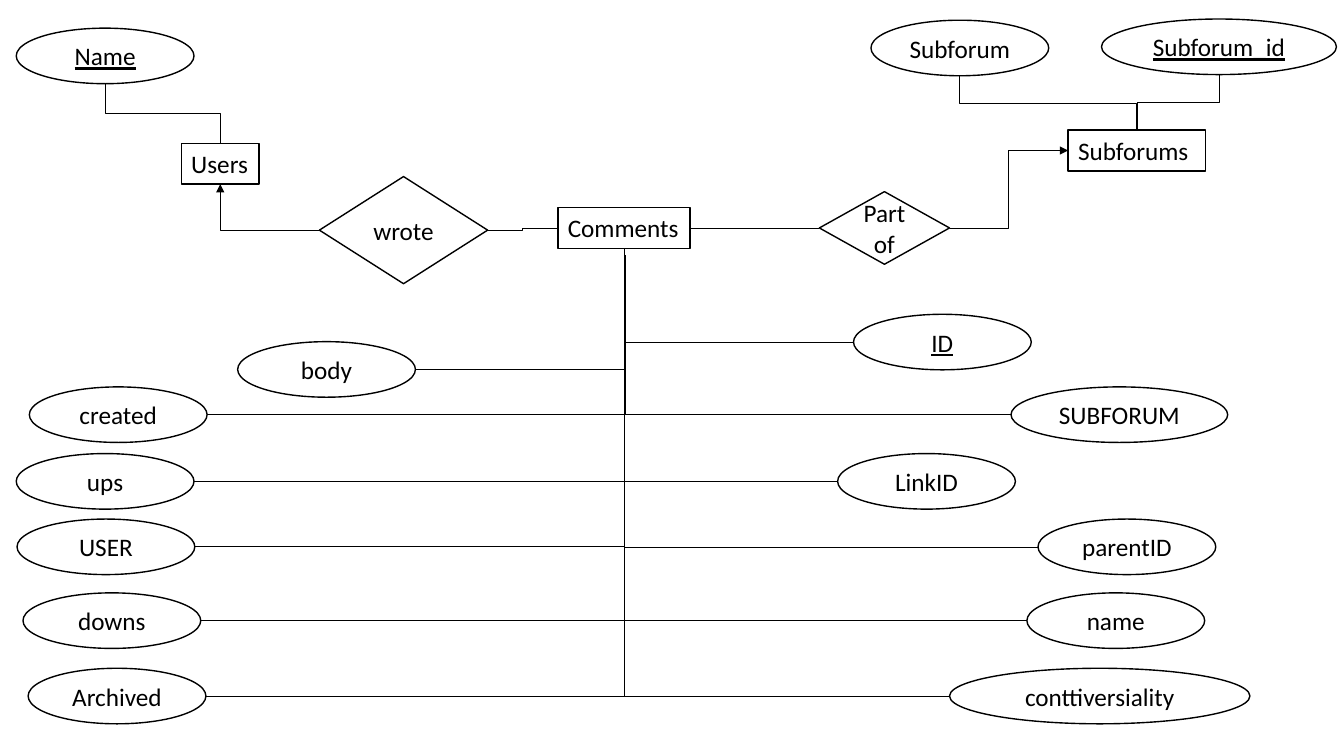
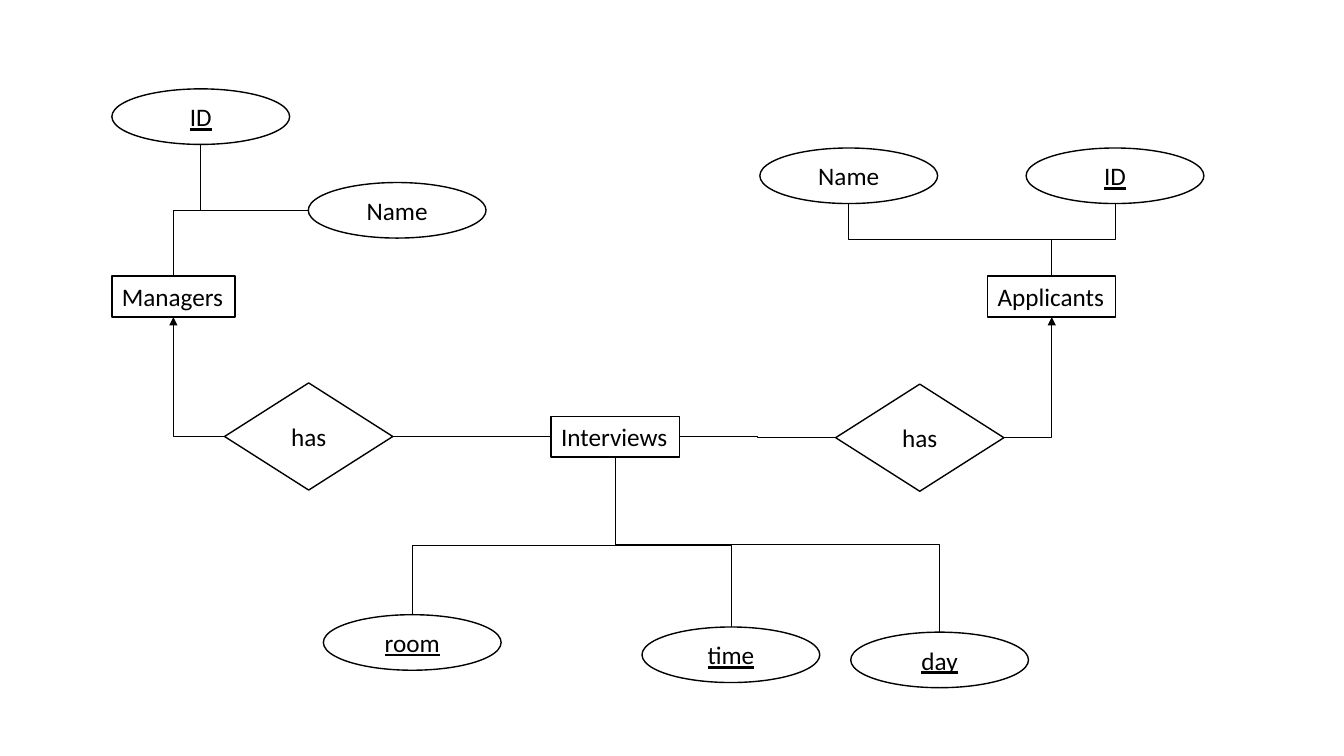
from dataclasses import dataclass
from enum import Enum
from typing import Optional

from lxml import etree
from pptx import Presentation
from pptx import util as u
from pptx.dml import color
from pptx.enum import shapes, text
from pptx.oxml import ns

FONT = "Calibri"
INK = "000000"
PAPER = "FFFFFF"
OVAL_WIDTH = 4.48
OVAL_HEIGHT = 1.4
BOX_HEIGHT = 1.03

Point = tuple[float, float]


class Side(Enum):
    TOP = 0
    LEFT = 1
    BOTTOM = 2
    RIGHT = 3

    @property
    def horizontal(self) -> bool:
        return self in (Side.LEFT, Side.RIGHT)


class Kind(Enum):
    ENTITY = shapes.MSO_SHAPE.RECTANGLE
    ATTRIBUTE = shapes.MSO_SHAPE.OVAL
    RELATION = shapes.MSO_SHAPE.DIAMOND


@dataclass(frozen=True)
class Node:
    kind: Kind
    label: str
    left: float
    top: float
    width: float
    height: float
    underline: bool = False
    wrap: bool = True

    def anchor(self, side: Side) -> Point:
        middle = (self.left + self.width / 2, self.top + self.height / 2)
        return {
            Side.TOP: (middle[0], self.top),
            Side.LEFT: (self.left, middle[1]),
            Side.BOTTOM: (middle[0], self.top + self.height),
            Side.RIGHT: (self.left + self.width, middle[1]),
        }[side]

    def site(self, side: Side) -> int:
        return side.value * (2 if self.kind is Kind.ATTRIBUTE else 1)


@dataclass(frozen=True)
class Link:
    start: str
    start_side: Side
    end: str
    end_side: Side
    arrow: bool = False
    bend: float = 0.5
    tip: Optional[Point] = None


def entity(label: str, left: float, top: float, width: float, wrap: bool = False) -> Node:
    return Node(Kind.ENTITY, label, left, top, width, BOX_HEIGHT, wrap=wrap)


def attribute(label: str, left: float, top: float, width: float = OVAL_WIDTH,
              underline: bool = False) -> Node:
    return Node(Kind.ATTRIBUTE, label, left, top, width, OVAL_HEIGHT, underline)


def relation(label: str, left: float, top: float, width: float = 4.24,
             height: float = 2.7) -> Node:
    return Node(Kind.RELATION, label, left, top, width, height)


def rgb(value: str) -> color.RGBColor:
    return color.RGBColor.from_string(value)


def write(frame, content: str, *, size: float = 18, ink: str = INK, underline: bool = False,
          align=text.PP_ALIGN.CENTER, anchor=text.MSO_ANCHOR.MIDDLE,
          wrap: bool = True, grow: bool = False) -> None:
    frame.word_wrap = wrap
    frame.vertical_anchor = anchor
    if grow:
        frame.auto_size = text.MSO_AUTO_SIZE.SHAPE_TO_FIT_TEXT
    para = frame.paragraphs[0]
    para.alignment = align
    span = para.add_run()
    span.text = content
    span.font.name = FONT
    span.font.size = u.Pt(size)
    span.font.color.rgb = rgb(ink)
    if underline:
        span.font.underline = True


def draw_node(page, node: Node):
    box = page.shapes.add_shape(node.kind.value, u.Cm(node.left), u.Cm(node.top),
                                u.Cm(node.width), u.Cm(node.height))
    box.shadow.inherit = False
    box.fill.solid()
    box.fill.fore_color.rgb = rgb(PAPER)
    box.line.color.rgb = rgb(INK)
    box.line.width = u.Pt(1)
    if node.kind is Kind.ENTITY:
        write(box.text_frame, node.label, align=text.PP_ALIGN.LEFT,
              anchor=text.MSO_ANCHOR.TOP, wrap=node.wrap, grow=True)
    else:
        write(box.text_frame, node.label, underline=node.underline)
    return box


def place_elbow(connector, start: Point, end: Point, horizontal: bool) -> None:
    across, down = end[0] - start[0], end[1] - start[1]
    right, below = across > 0, down > 0
    if horizontal:
        width, height = abs(across), abs(down)
        turn = 0 if right else 180
        flip_h, flip_v = False, (down < 0 if right else below)
    else:
        width, height = abs(down), abs(across)
        turn = 270 if right == below else 90
        flip_h, flip_v = right, not below
    connector.left = u.Cm((start[0] + end[0] - width) / 2)
    connector.top = u.Cm((start[1] + end[1] - height) / 2)
    connector.width = u.Cm(width)
    connector.height = u.Cm(height)
    frame = connector.element.find(".//" + ns.qn("a:xfrm"))
    frame.set("rot", str(turn * 60000))
    frame.set("flipH", str(int(flip_h)))
    frame.set("flipV", str(int(flip_v)))


def glue(connector, tag: str, box, site: int) -> None:
    holder = connector.element.find(".//" + ns.qn("p:cNvCxnSpPr"))
    etree.SubElement(holder, ns.qn(tag), id=str(box.shape_id), idx=str(site))


def draw_link(page, link: Link, nodes: dict[str, Node], boxes: dict) -> None:
    source, target = nodes[link.start], nodes[link.end]
    start = source.anchor(link.start_side)
    end = link.tip or target.anchor(link.end_side)
    connector = page.shapes.add_connector(shapes.MSO_CONNECTOR.ELBOW, 0, 0, 0, 0)
    place_elbow(connector, start, end, link.start_side.horizontal)
    connector.line.color.rgb = rgb(INK)
    connector.line.width = u.Pt(0.5)

    glue(connector, "a:stCxn", boxes[link.start], source.site(link.start_side))
    if link.tip is None:
        glue(connector, "a:endCxn", boxes[link.end], target.site(link.end_side))

    geometry = connector.element.find(".//" + ns.qn("a:prstGeom"))
    if link.start_side.horizontal != link.end_side.horizontal:
        geometry.set("prst", "bentConnector2")
    else:
        etree.SubElement(geometry.find(ns.qn("a:avLst")), ns.qn("a:gd"),
                         name="adj1", fmla=f"val {round(link.bend * 100000)}")
    properties = connector.element.find(ns.qn("p:spPr"))
    if link.arrow:
        etree.SubElement(properties.find(ns.qn("a:ln")), ns.qn("a:tailEnd"), type="triangle")
    etree.SubElement(properties, ns.qn("a:effectLst"))


def draw_diagram(deck, nodes: dict[str, Node], links: list[Link]) -> None:
    page = deck.slides.add_slide(deck.slide_layouts[6])
    boxes = {name: draw_node(page, node) for name, node in nodes.items()}
    for link in links:
        draw_link(page, link, nodes, boxes)


FORUM_NODES = {
    "users": entity("Users", 4.57, 3.61, 1.96, wrap=True),
    "comments": entity("Comments", 14.06, 5.23, 3.33),
    "subforums": entity("Subforums ", 26.92, 3.28, 3.46),
    "user name": attribute("Name", 0.41, 0.71, underline=True),
    "subforum title": attribute("Subforum", 21.95, 0.51),
    "subforum id": attribute("Subforum_id", 27.76, 0.48, 5.92, underline=True),
    "wrote": relation("wrote", 8.05, 4.45),
    "part of": relation("Part of", 20.65, 4.83, 3.28, 1.83),
}
LEFT_ATTRIBUTES = {
    "body": attribute("body", 5.99, 8.61),
    "created": attribute("created", 0.74, 9.75),
    "ups": attribute("ups", 0.41, 11.43),
    "user": attribute("USER", 0.43, 13.08),
    "downs": attribute("downs", 0.58, 14.94),
    "archived": attribute("Archived", 0.71, 16.84),
}
RIGHT_ATTRIBUTES = {
    "id": attribute("ID", 21.51, 7.92, underline=True),
    "subforum": attribute("SUBFORUM", 25.48, 9.75, 5.46),
    "link id": attribute("LinkID", 21.11, 11.43),
    "parent id": attribute("parentID", 26.16, 13.08),
    "name": attribute("name", 25.88, 14.94),
    "controversiality": attribute("conttiversiality", 23.93, 16.84, 7.57),
}
TIPS = {"created": (15.77, 6.43)}
FORUM_LINKS = [
    Link("user name", Side.BOTTOM, "users", Side.TOP),
    Link("subforum title", Side.BOTTOM, "subforums", Side.TOP),
    Link("subforum id", Side.BOTTOM, "subforums", Side.TOP),
    Link("wrote", Side.RIGHT, "comments", Side.LEFT),
    Link("wrote", Side.LEFT, "users", Side.BOTTOM, arrow=True),
    Link("part of", Side.LEFT, "comments", Side.RIGHT),
    Link("part of", Side.RIGHT, "subforums", Side.LEFT, arrow=True),
] + [
    Link(name, side, "comments", Side.BOTTOM, tip=TIPS.get(name))
    for side, group in ((Side.RIGHT, LEFT_ATTRIBUTES), (Side.LEFT, RIGHT_ATTRIBUTES))
    for name in group
]

INTERVIEW_NODES = {
    "managers": entity("Managers", 2.82, 6.96, 3.1),
    "interviews": entity("Interviews", 13.89, 10.49, 3.23),
    "applicants": entity("Applicants", 24.89, 6.96, 3.23),
    "manager id": attribute("ID", 2.82, 2.24, underline=True),
    "manager name": attribute("Name", 7.77, 4.6),
    "applicant id": attribute("ID", 25.86, 3.73, underline=True),
    "applicant name": attribute("Name", 19.15, 3.73),
    "room": attribute("room", 8.15, 15.49, underline=True),
    "time": attribute("time", 16.18, 15.8, underline=True),
    "day": attribute("day", 21.44, 15.93, underline=True),
    "manager has": relation("has", 5.66, 9.65),
    "applicant has": relation("has", 21.06, 9.68),
}
INTERVIEW_LINKS = [
    Link("applicant has", Side.RIGHT, "applicants", Side.BOTTOM, arrow=True),
    Link("manager has", Side.LEFT, "managers", Side.BOTTOM, arrow=True),
    Link("interviews", Side.RIGHT, "applicant has", Side.LEFT),
    Link("interviews", Side.LEFT, "manager has", Side.RIGHT),
    Link("managers", Side.TOP, "manager id", Side.BOTTOM),
    Link("managers", Side.TOP, "manager name", Side.LEFT),
    Link("applicants", Side.TOP, "applicant name", Side.BOTTOM),
    Link("applicants", Side.TOP, "applicant id", Side.BOTTOM),
] + [
    Link("interviews", Side.BOTTOM, name, Side.TOP, bend=bend)
    for name, bend in (("room", 0.56), ("time", 0.52), ("day", 0.5))
]


def main() -> None:
    deck = Presentation()
    deck.slide_width = u.Cm(33.87)
    deck.slide_height = u.Cm(19.05)
    draw_diagram(deck, FORUM_NODES | LEFT_ATTRIBUTES | RIGHT_ATTRIBUTES, FORUM_LINKS)
    draw_diagram(deck, INTERVIEW_NODES, INTERVIEW_LINKS)
    deck.save("out.pptx")


main()
